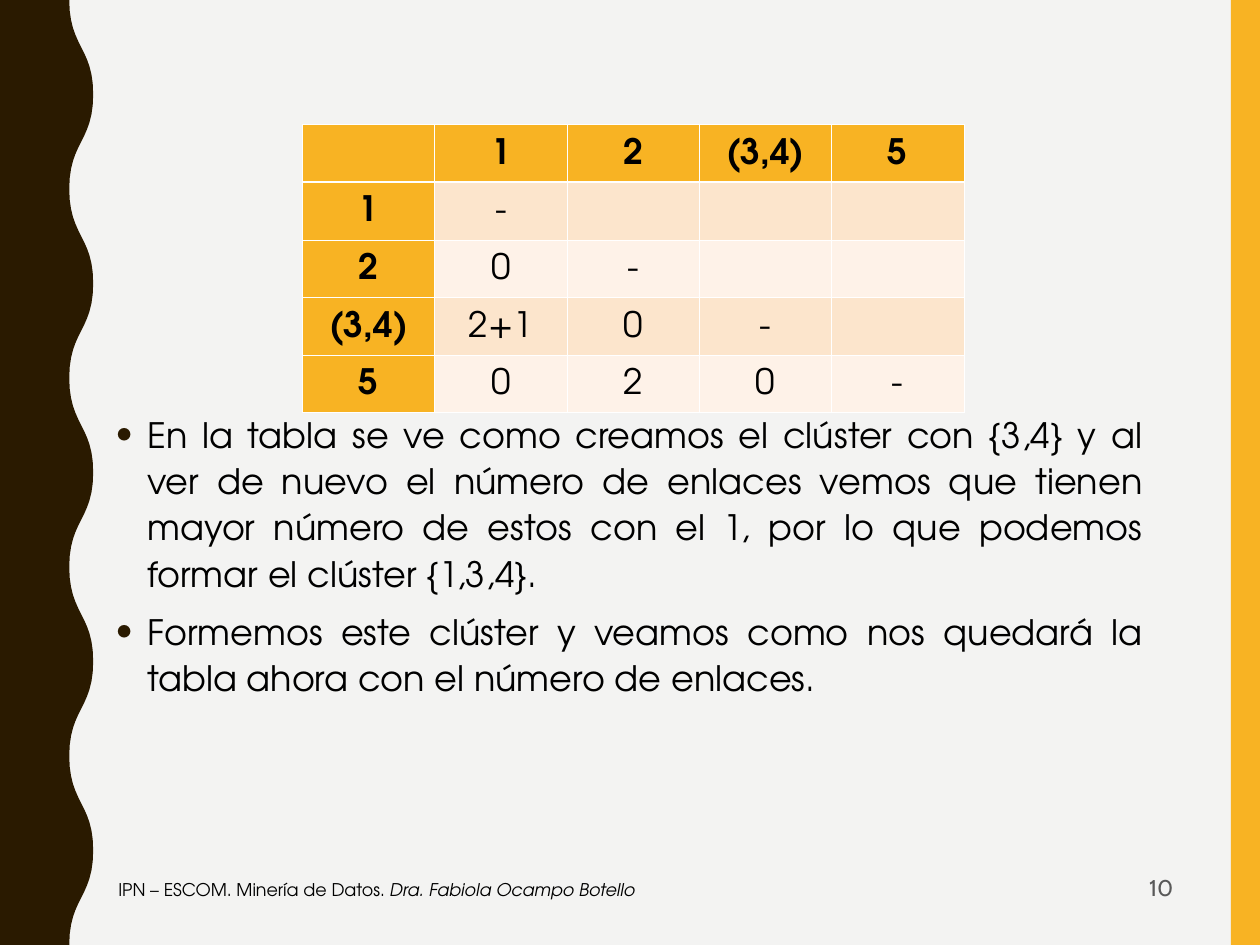
"""Build the cluster link-count slide with its table and notes."""
from lxml.etree import SubElement
from pptx import Presentation
from pptx.dml.color import RGBColor as Rgb
from pptx.enum.shapes import MSO_SHAPE as Kind
from pptx.enum.text import MSO_ANCHOR as Anchor, PP_ALIGN as Align
from pptx.oxml import parse_xml
from pptx.oxml.ns import nsdecls, qn
from pptx.util import Inches as In, Pt

HEADS = ["1", "2", "(3,4)", "5"]
LINKS = [["-"], ["0", "-"], ["2+1", "0", "-"], ["0", "2", "0", "-"]]
POINTS = [
    "En la tabla se ve como creamos el clúster con {3,4} y al ver de nuevo el número de "
    "enlaces vemos que tienen mayor número de estos con el 1, por lo que podemos formar "
    "el clúster {1,3,4}.",
    "Formemos este clúster y veamos como nos quedará la tabla ahora con el número de enlaces.",
]
FOOT = [("IPN – ESCOM. Minería de Datos. ", False), ("Dra. Fabiola Ocampo Botello", True)]
PAGE = "10"

BACK, GOLD, DARK = Rgb(0xF3, 0xF3, 0xF2), Rgb(0xF8, 0xB3, 0x23), Rgb(0x2A, 0x1A, 0x00)
BLACK, GRAY = Rgb(0, 0, 0), Rgb(0x59, 0x59, 0x59)
BANDS = [Rgb(0xFC, 0xE5, 0xCC), Rgb(0xFE, 0xF2, 0xE8)]
WIDE, HIGH = 10, 7.5
FACE = "TeX Gyre Adventor"
THIN, THICK = 0.45, 1.47
WAVES, STEPS, LOW, PEAK = 10, 12, 0.55, 0.74


def style(run, size, tint=BLACK, **more):
    look = {"name": FACE, "size": Pt(size), **more}
    for key, val in look.items():
        setattr(run.font, key, val)
    run.font.color.rgb = tint


def paint(shape, tint):
    shape.fill.solid()
    shape.fill.fore_color.rgb = tint
    shape.line.fill.background()
    shape.shadow.inherit = False


def wave():
    half = HIGH / WAVES
    for k in range(WAVES):
        start, end = (PEAK, LOW) if k % 2 else (LOW, PEAK)
        for n in range(1, STEPS + 1):
            t = n / STEPS
            yield (In(start + (end - start) * (3 * t**2 - 2 * t**3)),
                   In(half * (k + 1.5 * t * (1 - t) + t**3)))


def frame(cell, row):
    props = cell._tc.get_or_add_tcPr()
    widths = {"lnL": THIN, "lnR": THIN, "lnT": THICK if row == 1 else THIN,
              "lnB": THICK if row == 0 else THIN}
    for n, (side, width) in enumerate(widths.items()):
        props.insert(n, parse_xml(
            f'<a:{side} {nsdecls("a")} w="{Pt(width)}"><a:solidFill>'
            f'<a:srgbClr val="FFFFFF"/></a:solidFill></a:{side}>'))


def grid(slide):
    rows = [[""] + HEADS] + [[head] + line for head, line in zip(HEADS, LINKS)]
    size = len(rows)
    table = slide.shapes.add_table(size, size, In(2.4), In(0.99), In(5.25), In(1.86)).table
    for r, row in enumerate(rows):
        table.rows[r].height = In(0.37)
        for c in range(size):
            cell, head = table.cell(r, c), r == 0 or c == 0
            cell.fill.solid()
            cell.fill.fore_color.rgb = GOLD if head else BANDS[(r - 1) % 2]
            frame(cell, r)
            cell.vertical_anchor = Anchor.MIDDLE
            cell.margin_left = cell.margin_right = In(0.07)
            if c < len(row) and row[c]:
                para = cell.text_frame.paragraphs[0]
                para.alignment, para.line_spacing = Align.CENTER, 1.07
                run = para.add_run()
                run.text = row[c]
                style(run, 20, bold=head)


def box(slide, area, anchor=Anchor.MIDDLE):
    body = slide.shapes.add_textbox(*map(In, area)).text_frame
    body.word_wrap, body.vertical_anchor = True, anchor
    return body


def notes(slide):
    body = box(slide, (0.82, 3.2, 8.35, 2.6), Anchor.TOP)
    for n, text in enumerate(POINTS):
        para = body.add_paragraph() if n else body.paragraphs[0]
        para.alignment, para.line_spacing = Align.JUSTIFY, 1.1
        para.space_before = Pt(7 if n else 0)
        props = para._p.get_or_add_pPr()
        props.set("marL", str(In(0.25)))
        props.set("indent", str(In(-0.25)))
        SubElement(SubElement(props, qn("a:buClr")), qn("a:srgbClr")).set("val", str(DARK))
        SubElement(props, qn("a:buFont")).set("typeface", FACE)
        SubElement(props, qn("a:buChar")).set("char", "•")
        run = para.add_run()
        run.text = text
        style(run, 20)


def main():
    deck = Presentation()
    deck.slide_width, deck.slide_height = In(WIDE), In(HIGH)
    slide = deck.slides.add_slide(deck.slide_layouts[6])
    slide.background.fill.solid()
    slide.background.fill.fore_color.rgb = BACK

    strip = slide.shapes.add_shape(Kind.RECTANGLE, In(9.77), 0, In(0.23), In(HIGH))
    paint(strip, GOLD)
    edge = slide.shapes.build_freeform(In(LOW), 0)
    edge.add_line_segments([*wave(), (0, In(HIGH)), (0, 0)], close=True)
    paint(edge.convert_to_shape(), DARK)

    para = box(slide, (7.1, 6.87, 2.31, 0.38)).paragraphs[0]
    para.alignment, para.line_spacing = Align.RIGHT, 0.8
    run = para.add_run()
    run.text = PAGE
    style(run, 13, GRAY, name="Cabin")

    grid(slide)
    notes(slide)

    para = box(slide, (0.84, 6.81, 5.89, 0.5)).paragraphs[0]
    for text, slant in FOOT:
        run = para.add_run()
        run.text = text
        style(run, 10, italic=slant)
    deck.save("out.pptx")


if __name__ == "__main__":
    main()
